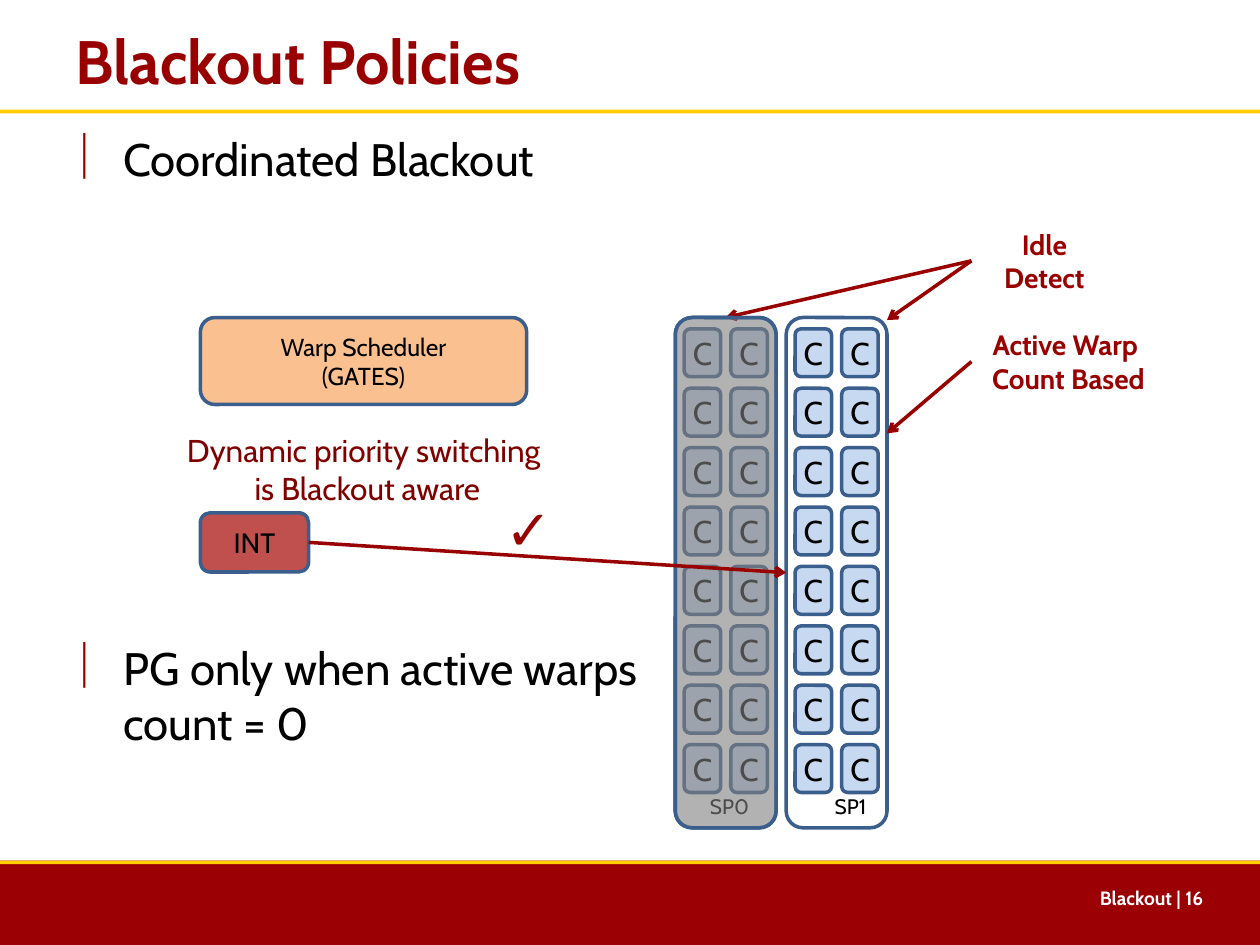
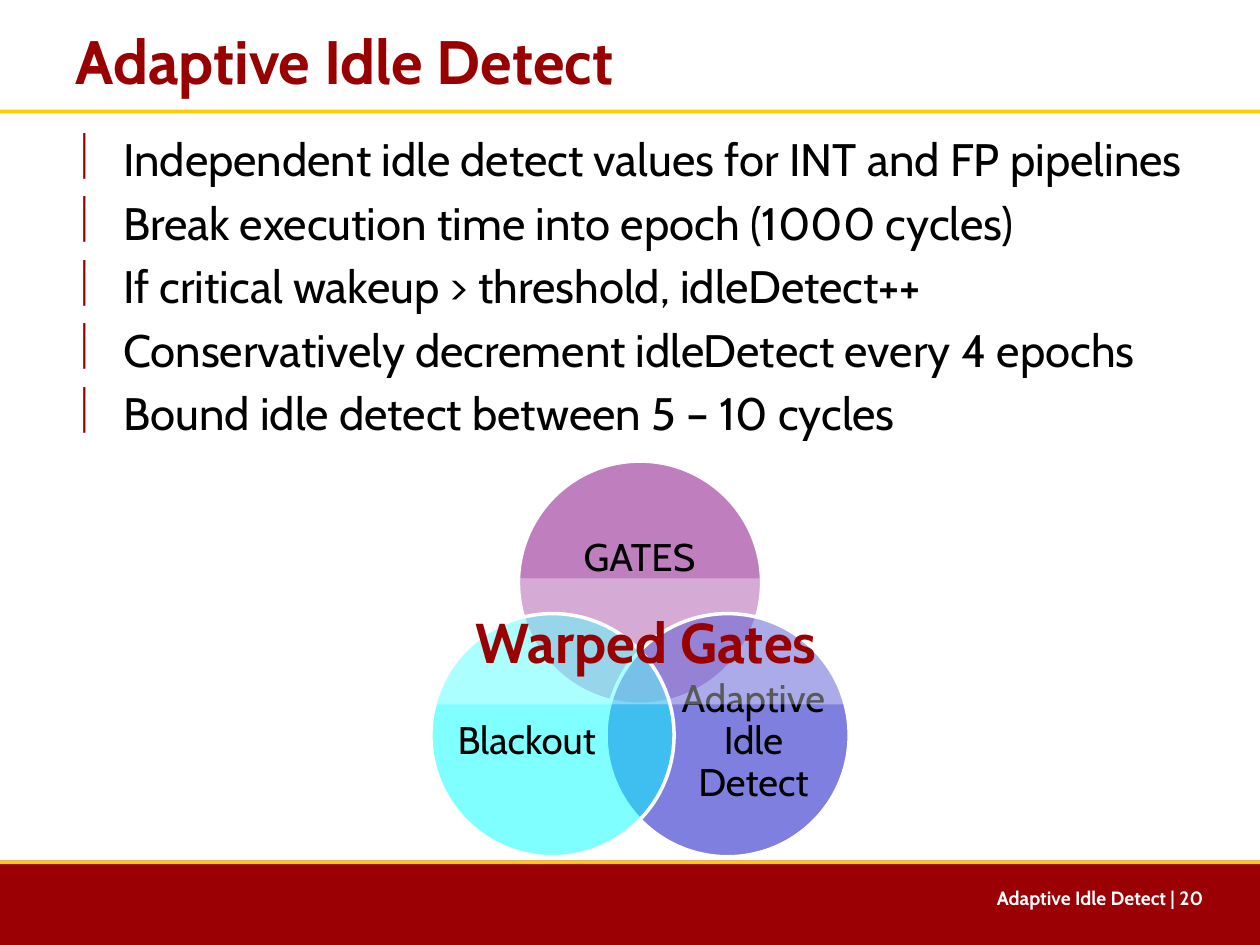
import pptx
import pptx.dml.color
import pptx.enum.shapes
import pptx.enum.text
import pptx.oxml
import pptx.oxml.ns
import pptx.util
from lxml import etree

Inches = pptx.util.Inches
Pt = pptx.util.Pt
Shapes = pptx.enum.shapes.MSO_SHAPE
Align = pptx.enum.text.PP_ALIGN
Anchor = pptx.enum.text.MSO_ANCHOR
qn = pptx.oxml.ns.qn

FONT = "Cabin"
RED, BAND_RED, MAROON = "990000", "9A0004", "800000"
GOLD, BLACK, WHITE = "FFCC00", "000000", "FFFFFF"
OUTLINE, CORE_BLUE, GREY = "3A5F8C", "C6D9F1", "808080"
ORANGE, BRICK = "FAC090", "C0504D"


def color(value):
    return pptx.dml.color.RGBColor.from_string(value)


def lengths(box):
    return [Inches(value) for value in box]


def write(frame, lines, size, ink=BLACK, bold=False, align=Align.CENTER, font=FONT):
    para = frame.paragraphs[0]
    para.alignment = align
    for index, line in enumerate(lines):
        if index:
            para.add_line_break()
        span = para.add_run()
        span.text = line
        span.font.name = font
        span.font.size = Pt(size)
        span.font.bold = bold
        span.font.color.rgb = color(ink)


def add_figure(page, kind, box, fill=None, line=None, opacity=None, lines=(), size=18,
               ink=BLACK, bold=False):
    shape = page.shapes.add_shape(kind, *lengths(box))
    shape.shadow.inherit = False
    if fill:
        shape.fill.solid()
        shape.fill.fore_color.rgb = color(fill)
        if opacity:
            tint = shape.element.spPr.find(qn("a:solidFill"))[0]
            etree.SubElement(tint, qn("a:alpha")).set("val", str(opacity * 1000))
    else:
        shape.fill.background()
    if line:
        shape.line.color.rgb = color(line)
        shape.line.width = Pt(2)
    else:
        shape.line.fill.background()
    if lines:
        frame = shape.text_frame
        frame.margin_left = frame.margin_right = frame.margin_top = frame.margin_bottom = 0
        frame.vertical_anchor = Anchor.MIDDLE
        write(frame, lines, size, ink, bold)
    return shape


def add_label(page, box, lines, size, ink=BLACK, bold=False, align=Align.CENTER,
              font=FONT, wrap=False, margin=0.1):
    label = page.shapes.add_textbox(*lengths(box))
    frame = label.text_frame
    frame.word_wrap = wrap
    frame.vertical_anchor = Anchor.MIDDLE
    frame.margin_left = frame.margin_right = Inches(margin)
    write(frame, lines, size, ink, bold, align, font)
    return label


def add_arrow(page, start, end, source=None, target=None):
    arrow = page.shapes.add_connector(
        pptx.enum.shapes.MSO_CONNECTOR.STRAIGHT, *lengths(start + end))
    if source:
        arrow.begin_connect(*source)
    if target:
        arrow.end_connect(*target)
    arrow.line.color.rgb = color(RED)
    arrow.line.width = Pt(2)
    line = arrow.element.spPr.find(qn("a:ln"))
    etree.SubElement(line, qn("a:tailEnd")).set("type", "arrow")
    etree.SubElement(arrow.element.spPr, qn("a:effectLst"))


def add_page(deck, title, number):
    page = deck.slides.add_slide(deck.slide_layouts[5])
    add_figure(page, Shapes.RECTANGLE, (0, 6.83, 10, 0.67), BAND_RED)
    for top in (6.83, 0.87):
        add_figure(page, Shapes.RECTANGLE, (0, top, 10, 0.03), GOLD)
    heading = page.shapes.title
    heading.left, heading.top, heading.width, heading.height = lengths((0.5, 0.08, 9, 0.79))
    heading.text_frame.auto_size = pptx.enum.text.MSO_AUTO_SIZE.NONE
    heading.text_frame.vertical_anchor = Anchor.MIDDLE
    write(heading.text_frame, [title], 35, RED, True, Align.LEFT)
    add_label(page, (7.15, 6.95, 2.5, 0.35), [f"{title.split(' Pol')[0]} | {number}"], 11,
              WHITE, True, Align.RIGHT)
    return page


def add_bullets(page, box, items):
    frame = page.shapes.add_textbox(*lengths(box)).text_frame
    frame.word_wrap = True
    for index, (text, space) in enumerate(items):
        para = frame.add_paragraph() if index else frame.paragraphs[0]
        para.space_before = Pt(space)
        for part, line in enumerate(text.split("\n")):
            if part:
                para.add_line_break()
            span = para.add_run()
            span.text = line
            span.font.name = FONT
            span.font.size = Pt(26)
            span.font.color.rgb = color(BLACK)
        settings = para._p.get_or_add_pPr()
        settings.set("marL", str(Inches(0.38)))
        settings.set("indent", str(Inches(-0.38)))
        tint = etree.SubElement(settings, qn("a:buClr"))
        etree.SubElement(tint, qn("a:srgbClr")).set("val", RED)
        etree.SubElement(settings, qn("a:buChar")).set("char", "|")


def add_processor(page, box, name, label_shift):
    left, top, width, height = box
    processor = add_figure(page, Shapes.ROUNDED_RECTANGLE, box, line=OUTLINE)
    row_pitch = 3.3 / 7
    for row in range(8):
        for column in range(2):
            core = (left + 0.07 + column * 0.37, top + 0.09 + row * row_pitch, 0.29, 0.38)
            add_figure(page, Shapes.ROUNDED_RECTANGLE, core, CORE_BLUE, OUTLINE, lines=["C"])
    add_label(page, (left + label_shift, top + height - 0.32, width, 0.3), [name], 12)
    return processor


def add_processors(page, box):
    left, top, width, height = box
    gated = (left, top, width, height)
    first = add_processor(page, gated, "SP0", 0.03)
    second = add_processor(page, (left + 0.88, top, width, height), "SP1", 0.11)
    right = left + 0.88 + width
    start = (right + 0.67, top - 0.45)
    idle = add_label(page, (start[0], start[1] - 0.2, 1.16, 0.4), ["Idle Detect"], 16, RED, True)
    add_arrow(page, start, (right, top + 0.02), (idle, 1))
    add_arrow(page, start, (left + width / 2, top), (idle, 1), (first, 0))
    add_figure(page, Shapes.ROUNDED_RECTANGLE, gated, GREY, OUTLINE, 60)
    count = add_label(page, (start[0], top, 1.54, 0.7), ["Active Warp ", "Count Based"],
                      16, RED, True)
    add_arrow(page, (start[0], top + 0.35), (right, top + 0.92), (count, 1))
    return second


def add_scheduler(page, box, target):
    left, top, width, height = box
    add_figure(page, Shapes.ROUNDED_RECTANGLE, box, ORANGE, OUTLINE,
               lines=["Warp Scheduler", "(GATES)"], size=14)
    add_label(page, (left - 0.22, top + 0.7, 3.09, 1),
              ["Dynamic priority switching ", "is Blackout aware"], 18, MAROON)
    integer = add_figure(page, Shapes.ROUNDED_RECTANGLE, (left, top + 1.55, 0.86, 0.47),
                         BRICK, OUTLINE, lines=["INT"], size=16)
    add_arrow(page, (left + 0.86, top + 1.79), (6.24, 4.54), (integer, 3), (target, 1))
    add_label(page, (left + 2.11, top + 1.17, 1, 1), ["✓"], 32, RED, True, font="Arial")


def add_venn(page, box):
    left, top, width, height = box
    size = 1.93
    low = height - size
    circles = [
        ("GATES", "800080", ((width - size) / 2, 0), (0.95, 0.34, 1.41, 0.87)),
        ("Adaptive Idle Detect", "0000C0", (width - size, low), (1.98, 1.7, 1.16, 1.06)),
        ("Blackout", "00FFFF", (0, low), (0.18, 1.7, 1.16, 1.06)),
    ]
    for name, fill, (across, down), (x, y, text_width, text_height) in circles:
        add_figure(page, Shapes.OVAL, (left + across, top + down, size, size), fill, WHITE, 50)
        label = add_label(page, (left + x, top + y, text_width, text_height), [name], 22,
                          wrap=True, margin=0)
        label.text_frame.paragraphs[0].line_spacing = 0.9
    add_figure(page, Shapes.RECTANGLE, (left - 0.16, top + 0.93, 3.74, 1), WHITE,
               opacity=35, lines=["Warped Gates"], size=32, ink=RED, bold=True)


def build_policies(deck, body):
    page = add_page(deck, "Blackout Policies", 16)
    add_bullets(page, body, [("Coordinated Blackout", 5.2),
                             ("PG only when active warps\ncount = 0", 260)])
    active = add_processors(page, (5.36, 2.52, 0.8, 4.05))
    add_scheduler(page, (1.59, 2.52, 2.59, 0.69), active)


def build_adaptive(deck, body):
    page = add_page(deck, "Adaptive Idle Detect", 20)
    points = [
        "Independent idle detect values for INT and FP pipelines",
        "Break execution time into epoch (1000 cycles)",
        "If critical wakeup > threshold, idleDetect++",
        "Conservatively decrement idleDetect every 4 epochs",
        "Bound idle detect between 5 – 10 cycles",
    ]
    add_bullets(page, body, [(point, 5.2) for point in points])
    add_venn(page, (3.42, 3.66, 3.32, 3.14))


def main():
    deck = pptx.Presentation()
    deck.slide_width, deck.slide_height = lengths((10, 7.5))
    body = (0.5, 0.99, 9, 5.84)
    build_policies(deck, body)
    build_adaptive(deck, body)
    deck.save("out.pptx")


if __name__ == "__main__":
    main()
